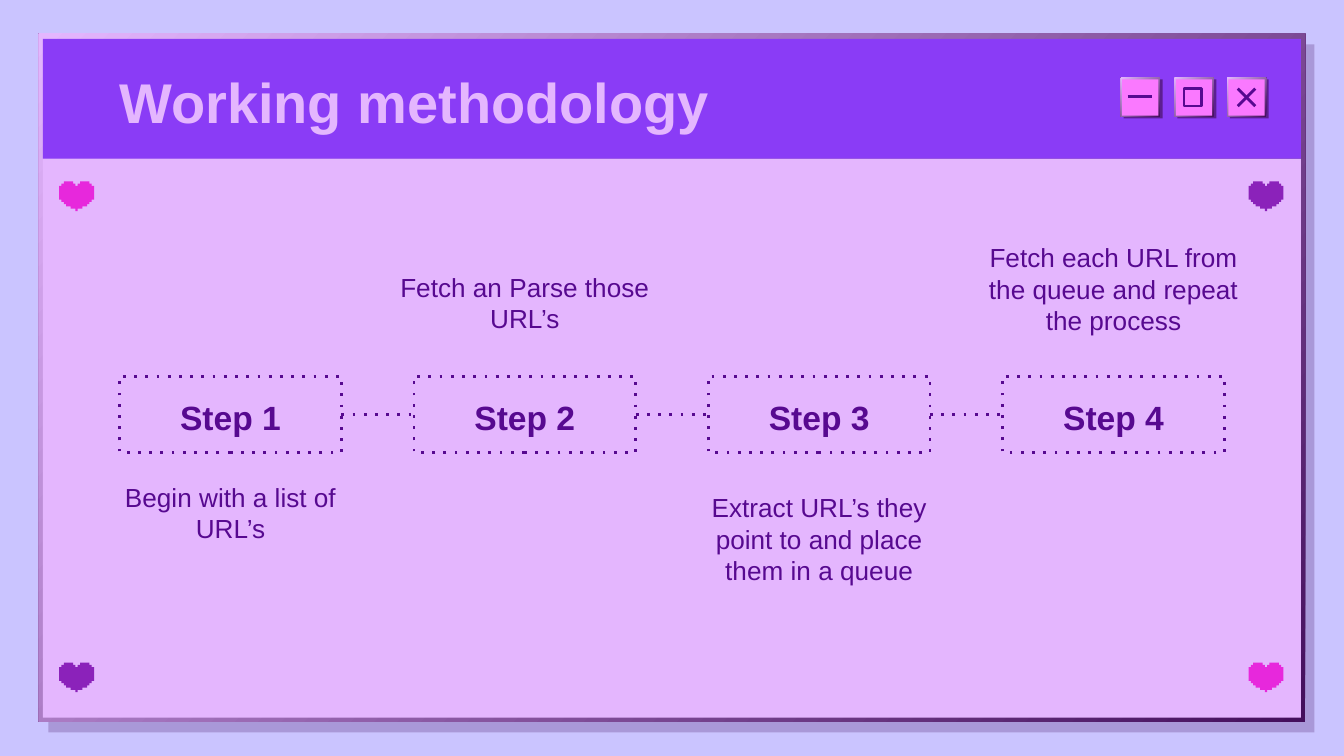
from lxml.etree import SubElement
from pptx import Presentation
from pptx.dml.color import RGBColor
from pptx.enum.dml import MSO_LINE as Dash
from pptx.enum.shapes import MSO_CONNECTOR as Conn, MSO_SHAPE as Kind
from pptx.enum.text import PP_ALIGN as Align
from pptx.oxml.ns import qn
from pptx.util import Inches, Pt

INK, DARK, PALE = "570990", "440F5C", "E4B6FE"
VIOLET, PINK, ROSE, PLUM = "8A3CF6", "FA79FF", "E728DC", "8B22BA"
HALF = [(7, 2), (7, 1), (6, 1), (6, 0), (2, 0), (2, 1), (1, 1), (1, 2),
        (0, 2), (0, 8), (1, 8), (1, 9), (2, 9), (2, 10), (3, 10), (3, 11),
        (5, 11), (5, 12), (7, 12), (7, 13)]
STEPS = [("Begin with a list of URL’s", 3.48),
         ("Fetch an Parse those URL’s", 1.92),
         ("Extract URL’s they point to and place them in a queue", 3.56),
         ("Fetch each URL from the queue and repeat the process", 1.7)]


def tint(code):
    return RGBColor.from_string(code)


class Deck:
    """Draws styled elements on the current slide."""

    def __init__(self, slide, font="Arial"):
        self.slide, self.shapes, self.font = slide, slide.shapes, font
        slide.background.fill.solid()
        slide.background.fill.fore_color.rgb = tint("CAC4FF")

    def stroke(self, shape, dots=False):
        shape.line.color.rgb = tint(INK)
        shape.line.width = Pt(1.5)
        if dots:
            shape.line.dash_style = Dash.ROUND_DOT
            shape.element.spPr.find(".//" + qn("a:prstDash")).set("val", "dot")

    def paint(self, shape, fill):
        shape.shadow.inherit = False
        shape.line.fill.background()
        shape.fill.solid()
        shape.fill.fore_color.rgb = tint(fill)

    def block(self, x, y, w, h, fill, alpha=None):
        box = self.shapes.add_shape(Kind.RECTANGLE, *map(Inches, (x, y, w, h)))
        self.paint(box, fill)
        if alpha:
            color = box.element.spPr.find(".//" + qn("a:srgbClr"))
            SubElement(color, qn("a:alpha"), val=str(alpha * 1000))
        return box

    def bevel(self, x, y, w, h):
        fill = self.block(x, y, w, h, DARK).fill
        fill.gradient()
        fill.gradient_angle = 135
        for stop, code in zip(fill.gradient_stops, (DARK, PALE)):
            stop.color.rgb = tint(code)

    def frame(self, x, y, w, h, dots=False):
        box = self.block(x, y, w, h, PALE)
        box.fill.background()
        self.stroke(box, dots)
        return box

    def line(self, x1, y1, x2, y2, dots=False):
        link = self.shapes.add_connector(Conn.STRAIGHT, *map(Inches, (x1, y1, x2, y2)))
        self.stroke(link, dots)
        SubElement(link.element.spPr, qn("a:effectLst"))
        return link

    def join(self, left, right):
        link = self.line(0, 0, 1, 1, True)
        link.begin_connect(left, 3)
        link.end_connect(right, 1)

    def text(self, words, x, y, w, h, size, color=INK, bold=False, align=Align.CENTER):
        frame = self.shapes.add_textbox(*map(Inches, (x, y, w, h))).text_frame
        frame.word_wrap = True
        for side in ("left", "right", "top", "bottom"):
            setattr(frame, "margin_" + side, Inches(0.1))
        para = frame.paragraphs[0]
        para.text, para.alignment = words, align
        style = {"name": self.font, "size": Pt(size), "bold": bold}
        for key, value in style.items():
            setattr(para.font, key, value)
        para.font.color.rgb = tint(color)

    def heart(self, x, y, fill):
        dots = HALF + [(15 - a, b) for a, b in reversed(HALF)]
        scale = (Inches(0.26) / 15, Inches(0.22) / 13)
        pen = self.shapes.build_freeform(*dots[0], scale=scale)
        pen.add_line_segments(dots[1:], close=True)
        self.paint(pen.convert_to_shape(Inches(x), Inches(y)), fill)


def window(deck):
    deck.block(0.36, 0.33, 9.42, 5.12, DARK, 24)
    deck.bevel(0.29, 0.25, 9.42, 5.12)
    deck.block(0.32, 1.18, 9.36, 4.16, PALE)
    deck.block(0.32, 0.29, 9.36, 0.89, VIOLET)
    buttons = left, mid, right = 8.34, 8.74, 9.13
    for x in buttons:
        deck.block(x + 0.02, 0.59, 0.29, 0.29, DARK, 65)
        deck.bevel(x, 0.58, 0.29, 0.29)
        deck.block(x + 0.01, 0.59, 0.27, 0.27, PINK)
    deck.line(left + 0.05, 0.72, left + 0.23, 0.72)
    deck.frame(mid + 0.07, 0.66, 0.13, 0.13)
    deck.line(right + 0.08, 0.66, right + 0.21, 0.79)
    deck.line(right + 0.08, 0.79, right + 0.21, 0.66)


def flow(deck):
    last = None
    for i, (note, top) in enumerate(STEPS):
        x = 0.89 + 2.19 * i
        box = deck.frame(x, 2.8, 1.65, 0.57, True)
        deck.text(f"Step {i + 1}", x + 0.28, 2.85, 1.09, 0.48, 18, bold=True)
        deck.text(note, x - 0.22, top, 2.09, 0.63, 14)
        if last:
            deck.join(last, box)
        last = box


def main():
    show = Presentation()
    show.slide_width = Inches(10)
    show.slide_height = show.slide_width * 9 // 16
    deck = Deck(show.slides.add_slide(show.slide_layouts[6]))
    window(deck)
    deck.text("Working methodology", 0.79, 0.4, 6, 0.63, 30, PALE, True, Align.LEFT)
    flow(deck)
    for x, y, fill in ((0.44, 1.35, ROSE), (0.44, 4.93, PLUM),
                       (9.29, 1.35, PLUM), (9.29, 4.93, ROSE)):
        deck.heart(x, y, fill)
    show.save("out.pptx")


if __name__ == "__main__":
    main()
